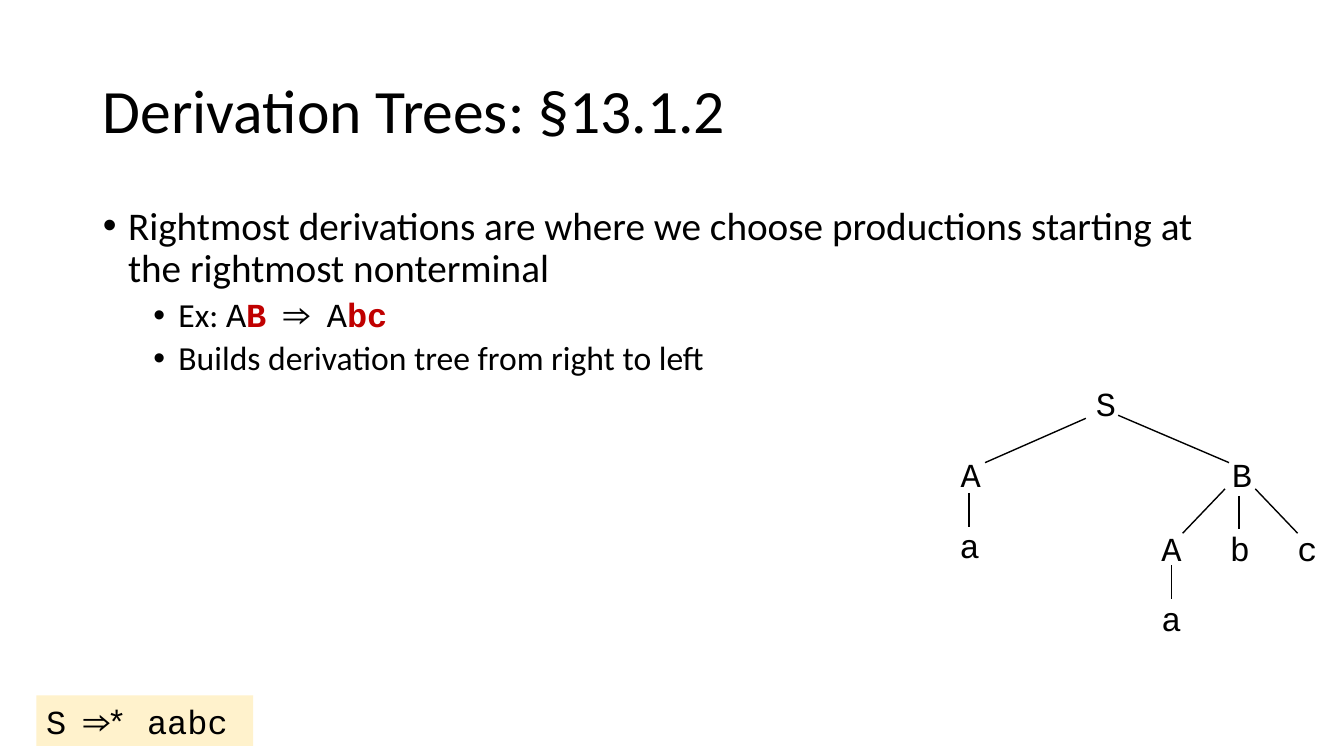
from lxml.etree import SubElement
from pptx import Presentation
from pptx.dml.color import RGBColor
from pptx.enum.text import MSO_ANCHOR, MSO_AUTO_SIZE, PP_ALIGN
from pptx.oxml.ns import qn
from pptx.util import Inches, Pt

COLORS = {"text": "000000", "accent": "C00000", "result": "FFF2CC"}
SANS, MONO = "Calibri", "Courier New"
CODE = {"font": MONO}
REPLACED = {"font": MONO, "color": "accent", "bold": True}

TITLE = "Derivation Trees: §13.1.2"
# Each bullet: level, runs of (text, format)
BULLETS = [
    (0, [("Rightmost derivations are where we choose productions "
          "starting at the rightmost nonterminal", {"size": 28})]),
    (1, [("Ex: ", {}), ("A", CODE), ("B ", REPLACED), ("⇒ A", CODE), ("bc", REPLACED)]),
    (1, [("Builds derivation tree from right to left", {})]),
]
LEVELS = [{"indent": 0.25, "before": 0}, {"indent": 0.75, "before": 5}]
RESULT = "S ⇒* aabc"

# Tree node: label, centre x, top
NODES = {
    "root": ("S", 10.97, 3.75),
    "left": ("A", 9.63, 4.45),
    "left leaf": ("a", 9.62, 5.16),
    "right": ("B", 12.32, 4.45),
    "inner": ("A", 11.62, 5.19),
    "inner leaf": ("a", 11.62, 5.88),
    "middle leaf": ("b", 12.3, 5.19),
    "last leaf": ("c", 12.97, 5.19),
}
# Tree edge: parent, child, offset from parent, offset from child
EDGES = [
    ("root", "left", (-0.2, 0.4), (0.14, 0.14)),
    ("root", "right", (0.12, 0.37), (-0.13, 0.14)),
    ("left", "left leaf", (-0.02, 0.44), (-0.01, 0.07)),
    ("right", "inner", (-0.17, 0.4), (0.11, 0.1)),
    ("right", "middle leaf", (-0.03, 0.47), (-0.01, 0.06)),
    ("right", "last leaf", (0.13, 0.4), (-0.1, 0.1)),
    ("inner", "inner leaf", (0, 0.42), (0, 0.06)),
]
NODE_WIDTH, NODE_HEIGHT = 0.4, 0.5


def rgb(name):
    return RGBColor.from_string(COLORS[name])


def add_text(paragraph, text, size=24, font=SANS, color="text", bold=False):
    run = paragraph.add_run()
    run.text = text
    run.font.size = Pt(size)
    run.font.name = font
    run.font.bold = bold
    run.font.color.rgb = rgb(color)


def place(shape, left, top, width, height):
    shape.left, shape.top = Inches(left), Inches(top)
    shape.width, shape.height = Inches(width), Inches(height)


def add_code_box(slide, text, left, top, width):
    box = slide.shapes.add_textbox(*map(Inches, (left, top, width, NODE_HEIGHT)))
    box.text_frame.word_wrap = False
    box.text_frame.auto_size = MSO_AUTO_SIZE.SHAPE_TO_FIT_TEXT
    add_text(box.text_frame.paragraphs[0], text, font=MONO)
    return box


def add_edge(slide, parent, child, start, end):
    points = []
    for node, (across, down) in ((parent, start), (child, end)):
        _, center, top = NODES[node]
        points += [Inches(center + across), Inches(top + down)]
    line = slide.shapes.add_connector(1, *points)
    line.line.color.rgb = rgb("text")
    line.line.width = Pt(1)
    SubElement(line._element.spPr, qn("a:effectLst"))


def add_bullet(paragraph, level, runs):
    paragraph.level = level
    properties = paragraph._p.get_or_add_pPr()
    properties.set("marL", str(Inches(LEVELS[level]["indent"])))
    properties.set("indent", str(-Inches(0.25)))
    paragraph.line_spacing = 0.9
    paragraph.space_before = Pt(LEVELS[level]["before"])
    SubElement(properties, qn("a:buFont"), typeface="Arial")
    SubElement(properties, qn("a:buChar"), char="•")
    for text, style in runs:
        add_text(paragraph, text, **style)


def main():
    presentation = Presentation()
    presentation.slide_width, presentation.slide_height = Inches(13.33), Inches(7.5)
    slide = presentation.slides.add_slide(presentation.slide_layouts[1])
    title, body = slide.placeholders

    place(title, 0.92, 0.4, 11.5, 1.45)
    title.text_frame.vertical_anchor = MSO_ANCHOR.MIDDLE
    heading = title.text_frame.paragraphs[0]
    heading.alignment = PP_ALIGN.LEFT
    heading.line_spacing = 0.9
    add_text(heading, TITLE, size=44)

    place(body, 0.92, 2, 11.5, 4.76)
    frame = body.text_frame
    frame.auto_size = MSO_AUTO_SIZE.NONE
    for index, (level, runs) in enumerate(BULLETS):
        paragraph = frame.add_paragraph() if index else frame.paragraphs[0]
        add_bullet(paragraph, level, runs)

    result = add_code_box(slide, RESULT, 0.36, 6.9, 2.15)
    result.fill.solid()
    result.fill.fore_color.rgb = rgb("result")

    for label, center, top in NODES.values():
        add_code_box(slide, label, center - NODE_WIDTH / 2, top, NODE_WIDTH)
    for edge in EDGES:
        add_edge(slide, *edge)

    presentation.save("out.pptx")


if __name__ == "__main__":
    main()
